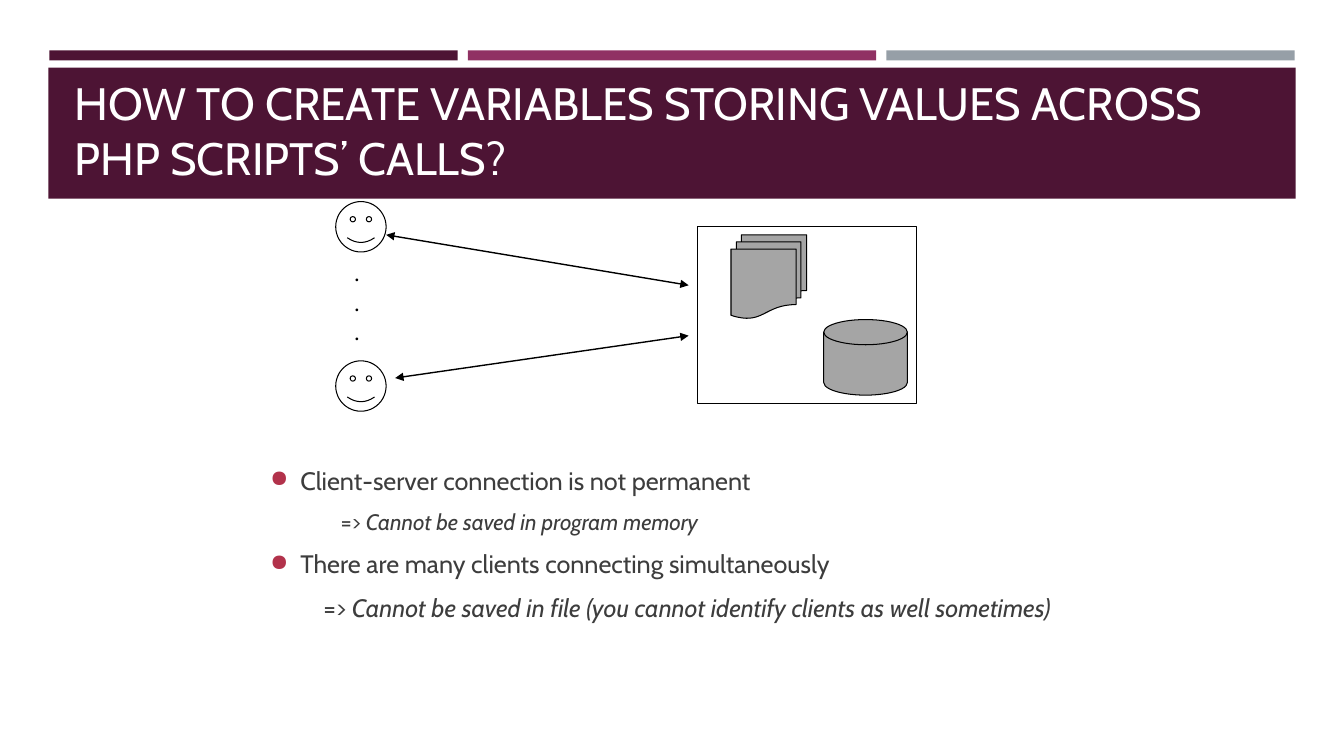
"""Build the slide on keeping values across PHP script calls."""
from dataclasses import dataclass
from typing import Any, Optional

from lxml import etree
from pptx import Presentation
from pptx import util as u
from pptx.dml import color
from pptx.enum import shapes, text
from pptx.oxml import ns

PX = 9144
HUES = {
    "plum": "4D1434", "rose": "903163", "steel": "969FA7", "white": "FFFFFF",
    "ink": "3D3D3D", "dot": "B2324B", "black": "000000", "gray": "A5A5A5",
}
KIND = shapes.MSO_SHAPE
SIDE = text.MSO_ANCHOR


@dataclass
class Form:
    kind: Any
    box: tuple[int, int, int, int]
    fill: Optional[str] = None
    line: Optional[str] = None
    bend: Optional[float] = None


@dataclass
class Arrow:
    start: tuple[int, int]
    end: tuple[int, int]


@dataclass
class Run:
    words: str
    size: float
    hue: str = "ink"
    font: str = "Cabin"
    bold: bool = False
    slant: bool = False


@dataclass
class Para:
    runs: list[Run]
    left: int = 0
    hang: int = 0
    gap: float = 0
    after: float = 0
    level: int = 0


@dataclass
class Block:
    box: tuple[int, int, int, int]
    paras: list[Para]
    side: Any = SIDE.TOP


def tint(name: str) -> color.RGBColor:
    return color.RGBColor.from_string(HUES[name])


def add(node: Any, tag: str, **attrs: str) -> Any:
    return etree.SubElement(node, ns.qn(tag), attrs)


def draw(slide: Any, form: Form) -> None:
    item = slide.shapes.add_shape(form.kind, *(n * PX for n in form.box))
    item.shadow.inherit = False
    if form.bend is not None:
        item.adjustments[0] = form.bend
    if form.fill:
        item.fill.solid()
        item.fill.fore_color.rgb = tint(form.fill)
    else:
        item.fill.background()
    if form.line:
        item.line.color.rgb = tint(form.line)
        item.line.width = u.Pt(0.75)
    else:
        item.line.fill.background()


def link(slide: Any, arrow: Arrow) -> None:
    ends = (n * PX for n in arrow.start + arrow.end)
    item = slide.shapes.add_connector(shapes.MSO_CONNECTOR.STRAIGHT, *ends)
    item.line.color.rgb = tint("black")
    item.line.width = u.Pt(1)
    line = item.line._get_or_add_ln()
    for tag in ("a:headEnd", "a:tailEnd"):
        add(line, tag, type="triangle", w="med", len="med")
    add(item._element.spPr, "a:effectLst")


def write(slide: Any, block: Block) -> None:
    frame = slide.shapes.add_textbox(*(n * PX for n in block.box)).text_frame
    frame.word_wrap = True
    frame.vertical_anchor = block.side
    for spot, para in enumerate(block.paras):
        line = frame.add_paragraph() if spot else frame.paragraphs[0]
        line.level = para.level
        line.space_before = u.Pt(para.gap if spot else 0)
        line.space_after = u.Pt(para.after)
        props = line._p.get_or_add_pPr()
        props.set("marL", str(para.left * PX))
        props.set("indent", str(-para.hang * PX))
        if para.hang:
            add(add(props, "a:buClr"), "a:srgbClr", val=HUES["dot"])
            add(props, "a:buSzPct", val="92000")
            add(props, "a:buChar", char="●")
        else:
            add(props, "a:buNone")
        for part in para.runs:
            run = line.add_run()
            run.text = part.words
            font = run.font
            font.name, font.size = part.font, u.Pt(part.size)
            font.bold, font.italic = part.bold, part.slant
            font.color.rgb = tint(part.hue)


def point(words: str) -> Para:
    return Para([Run(words, 18)], 30, 30, 3.6, 6)


def result(words: str, size: int, left: int, level: int) -> Para:
    runs = [Run("=> ", size), Run(words, size, slant=True)]
    return Para(runs, left, gap=size / 5, after=6, level=level)


BARS = [Form(KIND.RECTANGLE, (49 + 415 * i, 50, 405, 10), hue)
        for i, hue in enumerate(("plum", "rose", "steel"))]
BAND = Form(KIND.RECTANGLE, (48, 67, 1237, 130), "plum")
FACES = [Form(KIND.SMILEY_FACE, (333, top, 50, 50), None, "black", 0.05)
         for top in (200, 358)]
SERVER = [
    Form(KIND.RECTANGLE, (692, 225, 217, 175), None, "black"),
    Form(KIND.FLOWCHART_MULTIDOCUMENT, (725, 233, 75, 83), "gray", "black"),
    Form(KIND.FLOWCHART_MAGNETIC_DISK, (817, 317, 83, 75), "gray", "black"),
]
ARROWS = [Arrow((383, 233), (683, 283)), Arrow((392, 375), (683, 333))]
TITLE = Block((64, 77, 1206, 111), [Para([Run(
    "HOW TO CREATE VARIABLES STORING VALUES ACROSS PHP SCRIPTS’ CALLS?",
    32.4, "white")])], SIDE.BOTTOM)
BODY = Block((258, 442, 850, 195), [
    point("Client-server connection is not permanent"),
    result("Cannot be saved in program memory", 16, 70, 1),
    point("There are many clients connecting simultaneously"),
    result("Cannot be saved in file (you cannot identify clients as well "
           "sometimes)", 18, 53, 0),
], SIDE.MIDDLE)
DOTS = Block((342, 258, 42, 90), [
    Para([Run(".", 12, "black", "Times New Roman", True)], gap=6.5)
    for _ in range(3)])


def main() -> None:
    deck = Presentation()
    deck.slide_width, deck.slide_height = 1333 * PX, 750 * PX
    slide = deck.slides.add_slide(deck.slide_layouts[6])
    for form in [*BARS, BAND, *FACES, *SERVER]:
        draw(slide, form)
    for arrow in ARROWS:
        link(slide, arrow)
    for block in (TITLE, BODY, DOTS):
        write(slide, block)
    deck.save("out.pptx")


if __name__ == "__main__":
    main()
